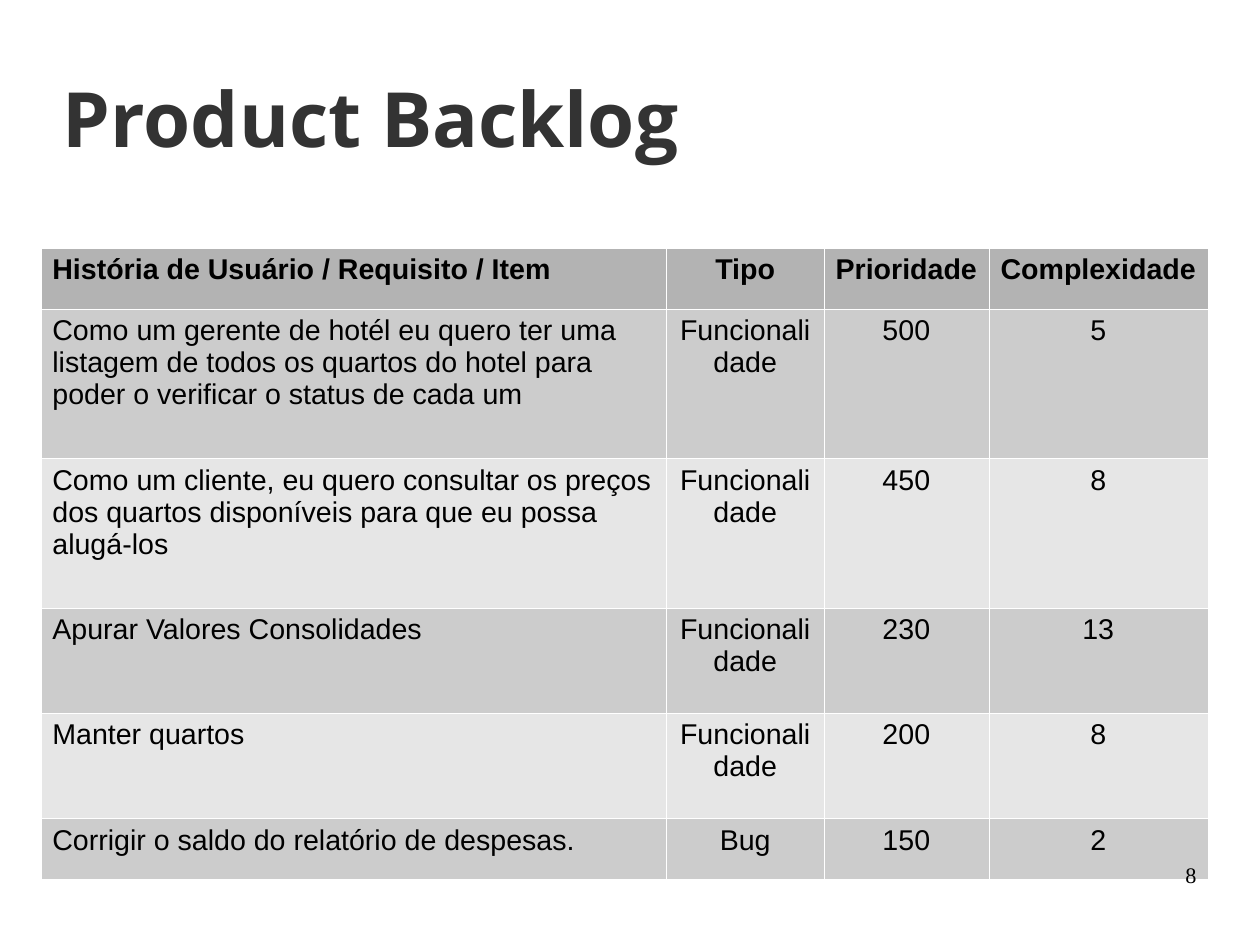
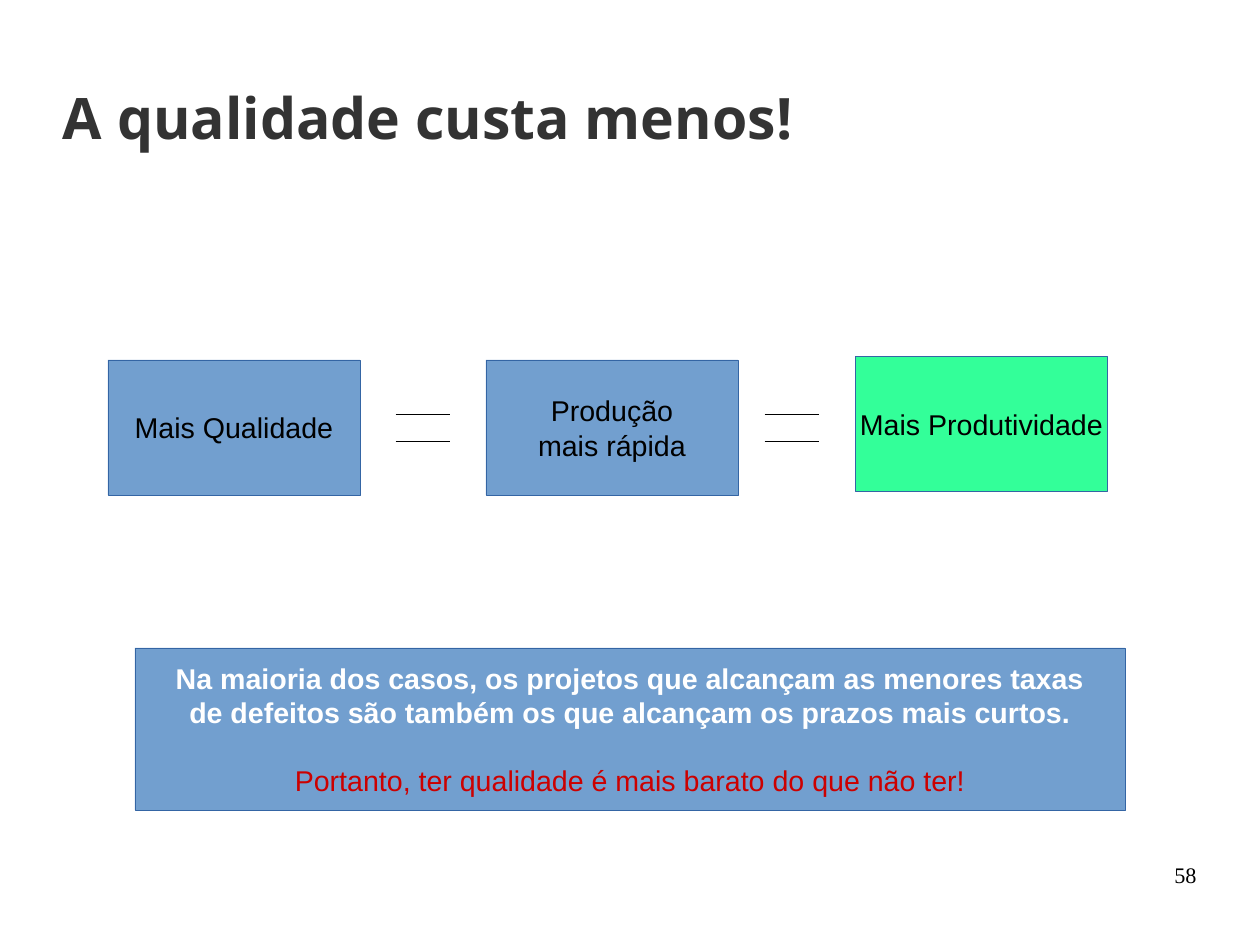
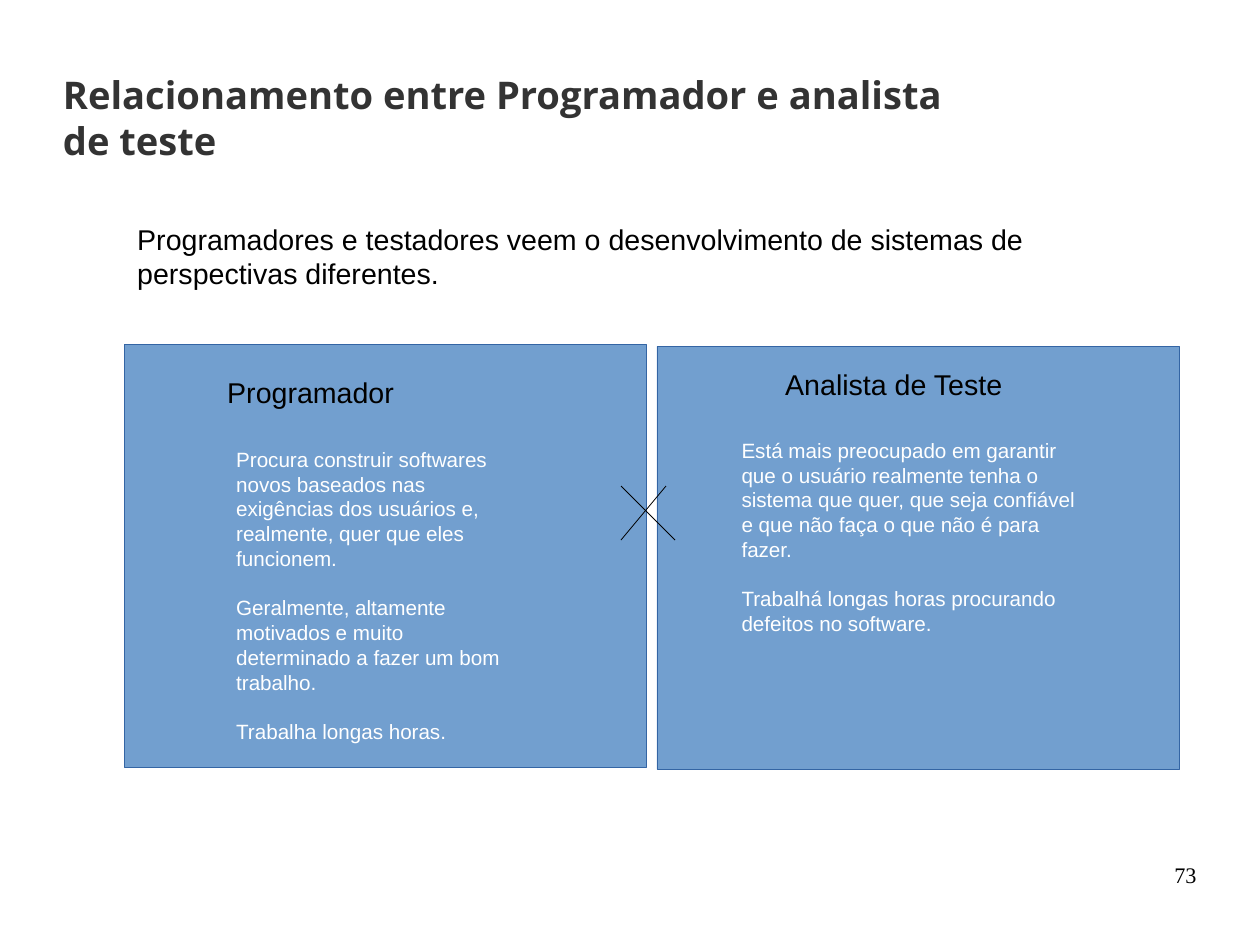
import pptx
import pptx.util
import pptx.dml.color
import pptx.enum.shapes
import pptx.enum.text
import pptx.oxml
import pptx.oxml.ns

Cm = pptx.util.Cm
Pt = pptx.util.Pt
ALIGN = pptx.enum.text.PP_ALIGN
ANCHOR = pptx.enum.text.MSO_ANCHOR

COLORS = {
    "title": "333333", "text": "000000", "white": "FFFFFF", "red": "CC0000",
    "blue": "729FCF", "outline": "3465A4", "green": "33FF99",
    "header": "B3B3B3", "dark_row": "CCCCCC", "light_row": "E6E6E6",
}
HAIRLINE = Pt(0.5)

BACKLOG = [
    ("História de Usuário / Requisito / Item", "Tipo", "Prioridade", "Complexidade"),
    ("Como um gerente de hotél eu quero ter uma listagem de todos os quartos do hotel "
     "para poder o verificar o status de cada um", "Funcionalidade", "500", "5"),
    ("Como um cliente, eu quero consultar os preços dos quartos disponíveis "
     "para que eu possa alugá-los", "Funcionalidade", "450", "8"),
    ("Apurar Valores Consolidades", "Funcionalidade", "230", "13"),
    ("Manter quartos", "Funcionalidade", "200", "8"),
    ("Corrigir o saldo do relatório de despesas.", "Bug", "150", "2"),
]
COL_WIDTHS = [13.9, 3.5, 3.66, 4.87]
ROW_HEIGHTS = [1.35, 3.33, 3.32, 2.34, 2.34, 1.35]

STEPS = [
    ("Mais Qualidade", 2.4, 8, "blue"),
    ("Produção\vmais rápida", 10.8, 8, "blue"),
    ("Mais Produtividade", 19.01, 7.92, "green"),
]
EQUAL_SIGNS = [8.79, 16.99]
CONCLUSION = [
    "Na maioria dos casos, os projetos que alcançam as menores taxas\v"
    "de defeitos são também os que alcançam os prazos mais curtos.",
    "Portanto, ter qualidade é mais barato do que não ter!",
]

INTRO = ("Programadores e testadores veem o desenvolvimento de sistemas "
         "de perspectivas diferentes.")
ROLES = [
    {"panel": (2.76, 7.65), "name": "Programador", "name_at": (4.8, 8.2, 7.4, 0.97),
     "text_at": (5, 9.8, 6.81, 6.4),
     "text": ["Procura construir softwares novos baseados nas exigências dos usuários e, "
              "realmente, quer que eles funcionem.",
              "Geralmente, altamente motivados e muito determinado a fazer um bom trabalho.",
              "Trabalha longas horas."]},
    {"panel": (14.6, 7.7), "name": "Analista de Teste", "name_at": (17.2, 8.03, 6.4, 1.68),
     "text_at": (16.23, 9.6, 7.95, 6.6),
     "text": ["Está mais preocupado em garantir que o usuário realmente tenha o sistema "
              "que quer, que seja confiável e que não faça o que não é para fazer.",
              "Trabalhá longas horas procurando defeitos no software."]},
]
CROSS = [(13.8, 10.8, 15, 12), (14.8, 10.8, 13.8, 12)]


def rgb(name):
    return pptx.dml.color.RGBColor.from_string(COLORS[name])


def style_paragraph(p, size, color="text", bold=False, font="Arial", align=ALIGN.LEFT):
    p.alignment = align
    for r in p.runs:
        r.font.size = Pt(size)
        r.font.name = font
        r.font.bold = bold
        r.font.color.rgb = rgb(color)


def write(tf, paragraphs, size, gap=0, **style):
    tf.text = "\n".join(paragraphs)
    for i, p in enumerate(tf.paragraphs):
        p.line_spacing = 1.0
        if i:
            p.space_before = Pt(gap)
        style_paragraph(p, size, **style)


def add_text(s, at, paragraphs, size, margins=True, anchor=ANCHOR.TOP, **style):
    tf = s.shapes.add_textbox(*map(Cm, at)).text_frame
    tf.word_wrap = True
    tf.vertical_anchor = anchor
    if not margins:
        tf.margin_left = tf.margin_right = tf.margin_top = tf.margin_bottom = 0
    write(tf, paragraphs, size, **style)


def add_box(s, at, fill="blue"):
    sp = s.shapes.add_shape(pptx.enum.shapes.MSO_SHAPE.RECTANGLE, *map(Cm, at))
    sp.shadow.inherit = False
    sp.fill.solid()
    sp.fill.fore_color.rgb = rgb(fill)
    sp.line.color.rgb = rgb("outline")
    sp.line.width = HAIRLINE
    sp.text_frame.word_wrap = False
    sp.text_frame.vertical_anchor = ANCHOR.MIDDLE
    return sp


def add_line(s, ends):
    line = s.shapes.add_connector(pptx.enum.shapes.MSO_CONNECTOR.STRAIGHT, *map(Cm, ends))
    line.line.color.rgb = rgb("text")
    line.line.width = HAIRLINE
    sp_pr = line._element.spPr
    sp_pr.append(sp_pr.makeelement(pptx.oxml.ns.qn("a:effectLst"), {}))


def add_slide(prs, title, size, number, fill_content):
    s = prs.slides.add_slide(prs.slide_layouts[6])
    add_text(s, (1.4, 1.45, 20, 2.3), [title], size, margins=False, anchor=ANCHOR.MIDDLE,
             color="title", bold=True, font="Open Sans")
    fill_content(s)
    add_text(s, (20.07, 19.13, 6.52, 1.45), [str(number)], 14, margins=False,
             font="Times New Roman", align=ALIGN.RIGHT)


def add_borders(cell):
    tc_pr = cell._tc.get_or_add_tcPr()
    for side in ("lnL", "lnR", "lnT", "lnB"):
        tc_pr.append(pptx.oxml.parse_xml(
            f'<a:{side} {pptx.oxml.ns.nsdecls("a")} w="720"><a:solidFill>'
            f'<a:srgbClr val="{COLORS["white"]}"/></a:solidFill></a:{side}>'))


def add_backlog(s):
    frame = s.shapes.add_table(len(BACKLOG), len(COL_WIDTHS), Cm(0.91), Cm(5.51),
                               Cm(sum(COL_WIDTHS)), Cm(sum(ROW_HEIGHTS)))
    table = frame.table
    for column, width in zip(table.columns, COL_WIDTHS):
        column.width = Cm(width)
    for i, (values, height) in enumerate(zip(BACKLOG, ROW_HEIGHTS)):
        table.rows[i].height = Cm(height)
        fill = "header" if i == 0 else "dark_row" if i % 2 else "light_row"
        for j, value in enumerate(values):
            cell = table.cell(i, j)
            add_borders(cell)
            cell.fill.solid()
            cell.fill.fore_color.rgb = rgb(fill)
            cell.text_frame.text = value
            style_paragraph(cell.text_frame.paragraphs[0], 18, bold=i == 0,
                            align=ALIGN.CENTER if j else ALIGN.LEFT)


def add_quality(s):
    for text, left, top, fill in STEPS:
        sp = add_box(s, (left, top, 5.6, 3), fill)
        write(sp.text_frame, [text], 18, align=ALIGN.CENTER)
    sp = add_box(s, (3, 14.4, 22, 3.6))
    write(sp.text_frame, CONCLUSION, 18, gap=21.5, color="white", bold=True,
          align=ALIGN.CENTER)
    style_paragraph(sp.text_frame.paragraphs[1], 18, color="red", align=ALIGN.CENTER)
    for left in EQUAL_SIGNS:
        for y in (9.2, 9.8):
            add_line(s, (left, y, left + 1.22, y))


def add_roles(s):
    for role in ROLES:
        add_box(s, (*role["panel"], 11.6, 9.4))
    for ends in CROSS:
        add_line(s, ends)
    for role in ROLES:
        add_text(s, role["name_at"], [role["name"]], 18)
        add_text(s, role["text_at"], role["text"], 13, gap=15.5, color="white")
    add_text(s, (2.8, 4.8, 22.6, 1.68), [INTRO], 18)


SLIDES = [
    ("Product Backlog", 48, 8, add_backlog),
    ("A qualidade custa menos!", 36, 58, add_quality),
    ("Relacionamento entre Programador e analista de teste", 24, 73, add_roles),
]


def main():
    prs = pptx.Presentation()
    prs.slide_width, prs.slide_height = Cm(28), Cm(21)
    for slide in SLIDES:
        add_slide(prs, *slide)
    prs.save("out.pptx")


if __name__ == "__main__":
    main()
